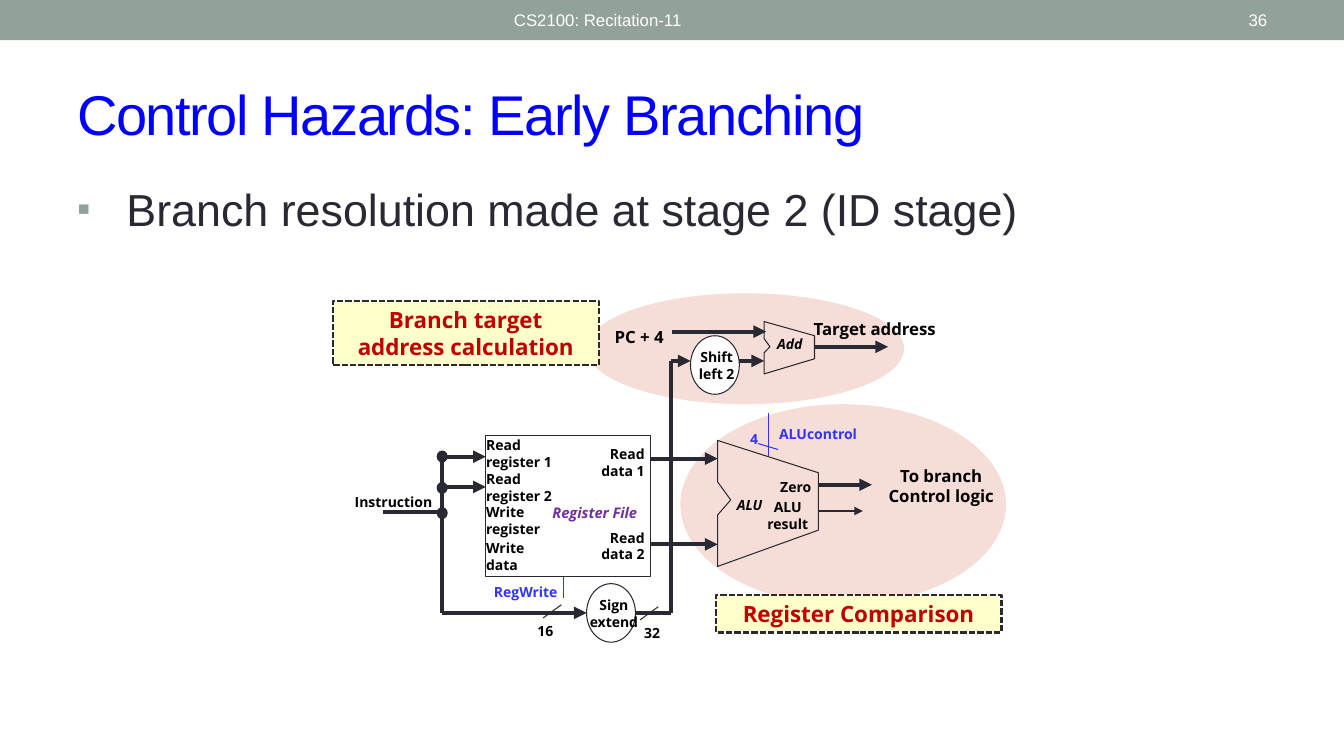
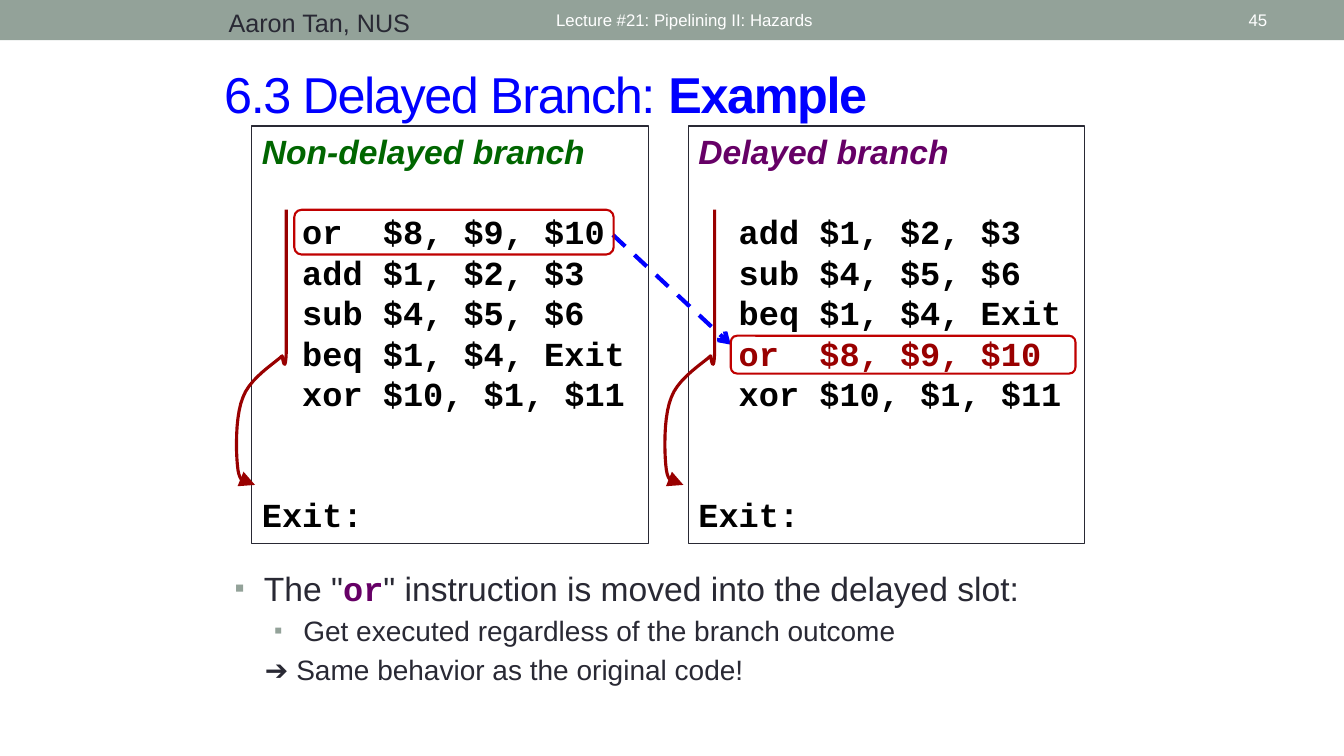
from dataclasses import dataclass

from lxml import etree
from pptx import Presentation
from pptx.dml.color import RGBColor
from pptx.enum.dml import MSO_LINE
from pptx.enum.shapes import MSO_CONNECTOR, MSO_SHAPE
from pptx.enum.text import MSO_ANCHOR, PP_ALIGN
from pptx.oxml.ns import qn
from pptx.util import Pt

RECT, OVAL, ROUND = MSO_SHAPE.RECTANGLE, MSO_SHAPE.OVAL, MSO_SHAPE.ROUNDED_RECTANGLE
LEFT, CENTER, RIGHT = PP_ALIGN.LEFT, PP_ALIGN.CENTER, PP_ALIGN.RIGHT
TOP, MIDDLE = MSO_ANCHOR.TOP, MSO_ANCHOR.MIDDLE
SHORT_DASH, DASH = MSO_LINE.SQUARE_DOT, MSO_LINE.DASH
STRAIGHT = MSO_CONNECTOR.STRAIGHT

COLORS = {
    "band": "93A299", "ink": "292934", "white": "FFFFFF", "black": "000000",
    "title": "0000FF", "signal": "3333FF", "purple": "7030A0", "glow": "F6DDD8",
    "note": "FFFFCC", "red": "C00000", "dark_red": "990000",
    "green": "006600", "plum": "660066",
}
SANS, MONO, LABEL = "Arial", "Courier New", "Open Sans"
INSETS = (7.2, 3.6)
CODE_PITCH = 28.9
CODE_INDENT = 28.8
CODE_BEFORE = 28.4


@dataclass
class Run:
    text: str
    size: float
    color: str = "ink"
    font: str = SANS
    bold: bool = False
    italic: bool = False
    tracking: int = 0


@dataclass
class Para:
    runs: list[Run]
    align: PP_ALIGN = LEFT
    before: float = 0
    pitch: float = 0
    margin: float = 0
    hang: float = 0
    bullet: bool = False


@dataclass
class Wire:
    x1: float
    y1: float
    x2: float
    y2: float
    head: str = ""
    weight: float = 3
    color: str = "ink"
    dash: MSO_LINE | None = None


@dataclass
class Label:
    x: float
    y: float
    w: float
    lines: tuple[str, ...]
    align: PP_ALIGN = CENTER
    color: str = "black"
    size: float = 10
    italic: bool = False


@dataclass
class Block:
    kind: MSO_SHAPE
    x: float
    y: float
    w: float
    h: float
    fill: str = ""
    line: str = ""
    weight: float = 0.75
    dash: MSO_LINE | None = None


def rgb(name: str) -> RGBColor:
    return RGBColor.from_string(COLORS[name])


def write(tf, paras: list[Para], anchor=TOP, insets=INSETS, wrap=True) -> None:
    tf.word_wrap, tf.vertical_anchor = wrap, anchor
    tf.margin_left = tf.margin_right = Pt(insets[0])
    tf.margin_top = tf.margin_bottom = Pt(insets[1])
    for i, para in enumerate(paras):
        p = tf.add_paragraph() if i else tf.paragraphs[0]
        p.alignment, p.space_before = para.align, Pt(para.before)
        if para.pitch:
            p.line_spacing = Pt(para.pitch)
        ppr = p._p.get_or_add_pPr()
        ppr.set("marL", str(Pt(para.margin)))
        ppr.set("indent", str(-Pt(para.hang)))
        if para.bullet:
            clr = etree.SubElement(ppr, qn("a:buClr"))
            etree.SubElement(clr, qn("a:srgbClr"), val=COLORS["band"])
            etree.SubElement(ppr, qn("a:buSzPct"), val="85000")
            etree.SubElement(ppr, qn("a:buFont"), typeface=SANS)
            etree.SubElement(ppr, qn("a:buChar"), char="▪")
        for run in para.runs:
            r = p.add_run()
            r.text = run.text
            f = r.font
            f.size, f.name, f.bold, f.italic = Pt(run.size), run.font, run.bold, run.italic
            f.color.rgb = rgb(run.color)
            if run.tracking:
                r._r.get_or_add_rPr().set("spc", str(run.tracking))


def add_text(s, x: float, y: float, w: float, h: float, paras: list[Para], **options) -> None:
    sp = s.shapes.add_textbox(Pt(x), Pt(y), Pt(w), Pt(h))
    write(sp.text_frame, paras, **options)


def style(sp, fill: str, line: str, weight: float, dash=None) -> None:
    sp.shadow.inherit = False
    if fill:
        sp.fill.solid()
        sp.fill.fore_color.rgb = rgb(fill)
    else:
        sp.fill.background()
    if line:
        sp.line.color.rgb, sp.line.width = rgb(line), Pt(weight)
        if dash:
            sp.line.dash_style = dash
    else:
        sp.line.fill.background()


def add_block(s, b: Block):
    sp = s.shapes.add_shape(b.kind, Pt(b.x), Pt(b.y), Pt(b.w), Pt(b.h))
    style(sp, b.fill, b.line, b.weight, b.dash)
    return sp


def add_head(sp, head: str, size: str = "med") -> None:
    ln = sp._element.spPr.get_or_add_ln()
    etree.SubElement(ln, qn("a:tailEnd"), type=head, w=size, len=size)


def add_wire(s, w: Wire) -> None:
    c = s.shapes.add_connector(STRAIGHT, Pt(w.x1), Pt(w.y1), Pt(w.x2), Pt(w.y2))
    c.line.color.rgb, c.line.width = rgb(w.color), Pt(w.weight)
    if w.dash:
        c.line.dash_style = w.dash
    if w.head:
        add_head(c, w.head)
    etree.SubElement(c._element.spPr, qn("a:effectLst"))


def add_outline(s, points: list, close: bool, color: str, weight: float):
    pts = [(Pt(x), Pt(y)) for x, y in points]
    fb = s.shapes.build_freeform(*pts[0], scale=1.0)
    fb.add_line_segments(pts[1:], close=close)
    sp = fb.convert_to_shape()
    style(sp, "", color, weight)
    return sp


def label_paras(lines, size: float, color: str, align=CENTER, italic=False) -> list[Para]:
    return [Para([Run(t, size, color, LABEL, True, italic)], align, pitch=round(size * 1.2, 1))
            for t in lines]


def add_label(s, b: Label) -> None:
    add_text(s, b.x, b.y, b.w, len(b.lines) * b.size * 1.2,
             label_paras(b.lines, b.size, b.color, b.align, b.italic), insets=(0, 0), wrap=False)


def curve(start, segments, steps: int = 10) -> list:
    points = [start]
    for a, b, c in segments:
        p0 = points[-1]
        for i in range(1, steps + 1):
            t = i / steps
            u = 1 - t
            points.append(tuple(u**3 * p0[k] + 3 * u * u * t * a[k] + 3 * u * t * t * b[k]
                                + t**3 * c[k] for k in (0, 1)))
    return points


def new_slide(prs, footer: str, footer_x: float, number: str):
    s = prs.slides.add_slide(prs.slide_layouts[6])
    add_block(s, Block(RECT, 0, 0, 960, 28.8, "band"))
    add_text(s, footer_x, 1.4, 400, 26, [Para([Run(footer, 12, "white")])], anchor=MIDDLE)
    add_text(s, 837.4, 1.4, 74.9, 26, [Para([Run(number, 12, "white")], RIGHT)], anchor=MIDDLE)
    return s


def add_title(s, x, y, w, h, size: float, plain: str, strong: str = "") -> None:
    runs = [Run(plain, size, "title", tracking=-100)]
    if strong:
        runs.append(Run(strong, size, "title", bold=True, tracking=-100))
    add_text(s, x, y, w, h, [Para(runs)], anchor=MIDDLE)


BLOCKS = [
    Block(OVAL, 486, 288.7, 232.6, 143.3, "glow"),
    Block(OVAL, 419, 209.5, 226.8, 79.2, "glow"),
    Block(RECT, 347, 311, 117.4, 100.8, "", "ink"),
    Block(OVAL, 419, 416.9, 34.9, 41.8, "white", "ink"),
    Block(OVAL, 493.2, 239.8, 34.9, 41.8, "white", "ink"),
] + [Block(OVAL, 311.9, y, 7.9, 8.6, "ink") for y in (321.8, 344.2, 362.2)]

ARROW = "triangle"
WIRES = [Wire(*ends, ARROW) for ends in (
    (316, 326.2, 347, 326.2), (316, 347.8, 347, 347.8), (464.4, 327.6, 512.6, 327.6),
    (464.4, 388.8, 512.6, 388.8), (584.6, 346.3, 622.8, 346.3), (316, 437.8, 419, 437.8),
    (479.5, 257.8, 493.2, 257.8), (527.8, 257.8, 545.8, 257.8),
    (480.2, 236.9, 547.2, 236.9), (581.8, 247.7, 634.3, 247.7),
)] + [Wire(*ends) for ends in (
    (316, 326.2, 316, 437.8), (273.6, 365.8, 316, 365.8),
    (454.3, 437.8, 479.5, 437.8), (479.5, 437.8, 479.5, 257.8),
)] + [Wire(*ends, weight=0.75, color=color) for color, ends in (
    ("signal", (548.6, 295.2, 548.6, 325.4)), ("signal", (541.4, 316.8, 555.8, 321.1)),
    ("signal", (402.5, 411.8, 402.5, 427)),
    ("ink", (401, 432, 388, 441.4)), ("ink", (470.2, 433.4, 457.2, 442.8)),
)] + [Wire(584.6, 365, 616.3, 365, ARROW, 1)]

ALU = [(512.6, 314.6), (584.6, 337.7), (584.6, 378.7), (512.6, 404.6),
       (512.6, 367.9), (522, 357.1), (512.6, 344.2)]
ADDER = [(545.8, 229.7), (581.8, 239.8), (581.8, 256.3), (545.8, 267.1),
         (545.8, 252), (550, 247.7), (545.8, 241.9)]

LABELS = [
    Label(412.6, 426.2, 51.8, ("Sign", "extend")),
    Label(493.2, 249.1, 37.4, ("Shift", "left 2")),
    Label(546.5, 356.4, 32.4, ("ALU", "result")),
    Label(524.2, 355, 22.3, ("ALU",), italic=True),
    Label(547.9, 239.7, 32.4, ("Add",), italic=True),
    Label(555.8, 341.9, 25.2, ("Zero",)),
    Label(553.4, 303.8, 61.9, ("ALUcontrol",), color="signal"),
    Label(535, 307.6, 7.2, ("4",), color="signal"),
    Label(345.6, 416.9, 52.6, ("RegWrite",), RIGHT, "signal"),
    Label(347.3, 311.7, 54.7, ("Read", "register 1"), LEFT),
    Label(347.3, 336.2, 54.7, ("Read", "register 2"), LEFT),
    Label(347.3, 360, 44, ("Write", "register"), LEFT),
    Label(347.3, 385.4, 31, ("Write", "data"), LEFT),
    Label(425.2, 318.2, 35.3, ("Read", "data 1"), RIGHT),
    Label(425.2, 378, 35.3, ("Read", "data 2"), RIGHT),
    Label(246.2, 352.8, 62.6, ("Instruction",), RIGHT),
    Label(387.4, 360, 75, ("Register File",), color="purple", size=10.5, italic=True),
    Label(382.3, 444.7, 14.4, ("16",)),
    Label(458.6, 446.4, 14.4, ("32",)),
    Label(629.5, 332.6, 85.7, ("To branch", "Control logic"), size=12),
    Label(434.2, 233.3, 44.6, ("PC + 4",), size=12),
    Label(581.2, 227.5, 107, ("Target address",), LEFT, size=12),
]
CALLOUTS = [
    (237.6, 214.8, 190.2, 46, ("Branch target", "address calculation")),
    (511.2, 425, 204.2, 26.8, ("Register Comparison",)),
]


def early_branching(prs) -> None:
    s = new_slide(prs, "CS2100: Recitation-11", 360, "36")
    add_title(s, 48, 41.8, 864, 77.8, 40, "Control Hazards: Early Branching")
    add_text(s, 48, 126, 864, 59.8, [
        Para([Run("Branch resolution made at stage 2 (ID stage)", 32)],
             before=6.4, margin=35.3, hang=35.3, bullet=True)])
    for block in BLOCKS:
        add_block(s, block)
    for wire in WIRES:
        add_wire(s, wire)
    for outline in (ALU, ADDER):
        add_outline(s, outline, True, "ink", 0.75)
    for x, y, w, h, lines in CALLOUTS:
        sp = add_block(s, Block(RECT, x, y, w, h, "note", "ink", 1.5, SHORT_DASH))
        write(sp.text_frame, label_paras(lines, 16, "red"), anchor=MIDDLE, wrap=False)
    for label in LABELS:
        add_label(s, label)


OR, ADD, SUB = "or  $8, $9, $10", "add $1, $2, $3", "sub $4, $5, $6"
BEQ, XOR = "beq $1, $4, Exit", "xor $10, $1, $11"
LISTINGS = [
    (180, "Non-delayed branch", "green", (OR, ADD, SUB, BEQ, XOR), ""),
    (491.8, "Delayed branch", "plum", (ADD, SUB, BEQ, OR, XOR), OR),
]
JUMP = curve((36.7, 0), [
    ((36.7, 42.5), (36.7, 85), (36.7, 102.2)),
    ((36, 119.5), (33.8, 104.4), (33.8, 104.4)),
    ((28.8, 109.4), (10.8, 120.2), (5.8, 133.9)),
    ((0, 147.6), (0.7, 175), (2.2, 185.8)),
    ((3.6, 195.8), (9.4, 196.6), (14.4, 196.6)),
])


def delayed_branch(prs) -> None:
    s = new_slide(prs, "Lecture #21: Pipelining II: Hazards", 390.2, "45")
    add_text(s, 156.2, 1.4, 228.2, 26, [Para([Run("Aaron Tan, NUS", 18)])])
    add_title(s, 153, 41.5, 663, 50.4, 36, "6.3 Delayed Branch: ", "Example")
    for x, heading, color, code, moved in LISTINGS:
        sp = add_block(s, Block(RECT, x, 90, 283, 298, "", "ink"))
        paras = [Para([Run(heading, 24, color, bold=True, italic=True)], pitch=CODE_PITCH)]
        for i, text in enumerate(code):
            ink = "dark_red" if text == moved else "black"
            paras.append(Para([Run(text, 24, ink, MONO, True)], before=0 if i else CODE_BEFORE,
                              pitch=CODE_PITCH, margin=CODE_INDENT))
        paras.append(Para([Run("Exit:", 24, "black", MONO, True)], before=57, pitch=CODE_PITCH))
        write(sp.text_frame, paras)
    for x in (167.8, 473.8):
        jump = add_outline(s, [(x + px, 149.8 + py) for px, py in JUMP], False, "dark_red", 2.25)
        add_head(jump, ARROW, "lg")
    add_wire(s, Wire(437.8, 167.8, 522, 246.2, "arrow", 3, "title", DASH))
    for box in ((522, 239.8, 246.2, 27), (210.2, 149.8, 228.2, 32)):
        add_block(s, Block(ROUND, *box, line="red", weight=1.5))
    add_text(s, 160.6, 401.8, 648, 92.9, [
        Para([Run('The "', 24), Run("or", 24, "plum", MONO, True),
              Run('" instruction is moved into the delayed slot:', 24)],
             before=4.8, margin=20.9, hang=20.9, bullet=True),
        Para([Run("Get executed regardless of the branch outcome", 20)],
             before=4, margin=49, hang=20.9, bullet=True),
        Para([Run("➔ Same behavior as the original code!", 20)], before=4, margin=36, hang=14.4),
    ])


prs = Presentation()
prs.slide_width, prs.slide_height = Pt(960), Pt(540)
early_branching(prs)
delayed_branch(prs)
prs.save("out.pptx")
